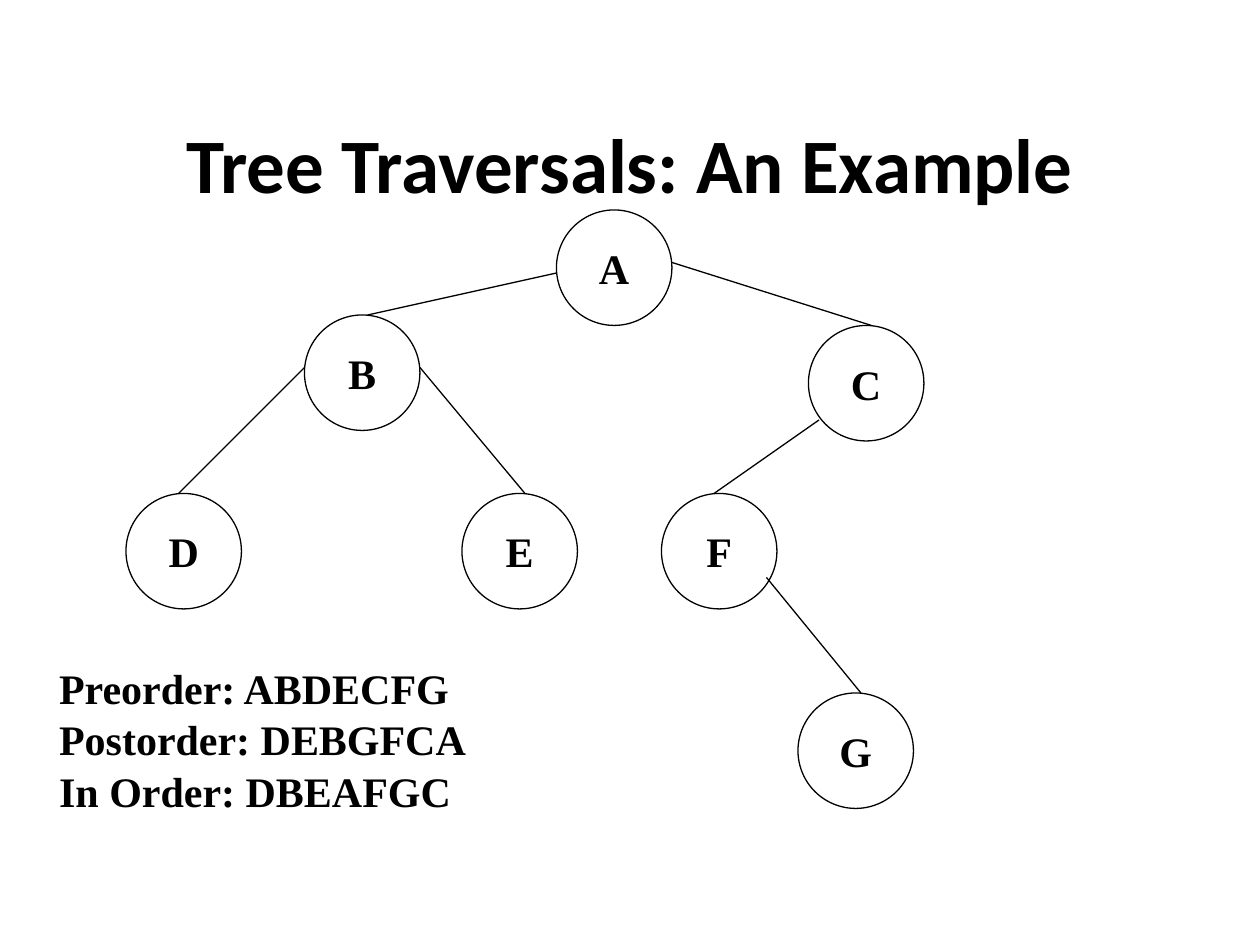
from pptx import Presentation
from pptx import util as u
from pptx.dml import color
from pptx.enum import shapes, text
from pptx.oxml import ns, xmlchemy

Pt = u.Pt
COLORS = {"ink": "000000", "paper": "FFFFFF"}
HEADING_FONT = "Calibri"
BODY_FONT = "Times New Roman"
NODE_SIZE = 66

NODES = {
    "A": (246, 0),
    "B": (102, 60),
    "C": (390, 66),
    "D": (0, 162),
    "E": (192, 162),
    "F": (306, 162),
    "G": (384, 276),
}
BRANCHES = [
    ((246, 36), (138, 60)),
    ((312, 30), (426, 66)),
    ((102, 90), (30, 162)),
    ((168, 90), (228, 162)),
    ((396, 120), (336, 162)),
    ((366, 210), (420, 276)),
]
ORDERS = ["Preorder: ABDECFG", "Postorder: DEBGFCA", "In Order: DBEAFGC"]


def rgb(name):
    return color.RGBColor.from_string(COLORS[name])


def write(paragraph, words, font, size, align):
    paragraph.alignment = align
    run = paragraph.add_run()
    run.text = words
    run.font.name = font
    run.font.size = Pt(size)
    run.font.bold = True
    run.font.color.rgb = rgb("ink")


def outline(item):
    item.line.color.rgb = rgb("ink")
    item.line.width = Pt(0.75)


def add_heading(slide, left, top, width, height):
    heading = slide.shapes.title
    heading.left, heading.top = Pt(left), Pt(top)
    heading.width, heading.height = Pt(width), Pt(height)
    frame = heading.text_frame
    frame.vertical_anchor = text.MSO_ANCHOR.MIDDLE
    write(frame.paragraphs[0], "Tree Traversals: An Example",
          HEADING_FONT, 44, text.PP_ALIGN.CENTER)


def add_node(slide, label, left, top):
    node = slide.shapes.add_shape(shapes.MSO_SHAPE.OVAL, Pt(left), Pt(top),
                                  Pt(NODE_SIZE), Pt(NODE_SIZE))
    node.shadow.inherit = False
    node.fill.background()
    outline(node)
    frame = node.text_frame
    frame.word_wrap = False
    frame.vertical_anchor = text.MSO_ANCHOR.MIDDLE
    write(frame.paragraphs[0], label, BODY_FONT, 24, text.PP_ALIGN.CENTER)


def add_branch(slide, start, end):
    branch = slide.shapes.add_connector(shapes.MSO_CONNECTOR.STRAIGHT,
                                        *map(Pt, start + end))
    outline(branch)
    branch._element.spPr.append(xmlchemy.OxmlElement("a:effectLst"))


def add_tree(slide, left, top):
    for label, (x, y) in NODES.items():
        add_node(slide, label, left + x, top + y)
    for (x1, y1), (x2, y2) in BRANCHES:
        add_branch(slide, (left + x1, top + y1), (left + x2, top + y2))


def add_orders(slide, left, top, width, height):
    orders = slide.shapes.add_textbox(Pt(left), Pt(top), Pt(width), Pt(height))
    frame = orders.text_frame
    frame.word_wrap = False
    frame.auto_size = text.MSO_AUTO_SIZE.SHAPE_TO_FIT_TEXT
    for index, order in enumerate(ORDERS):
        paragraph = frame.add_paragraph() if index else frame.paragraphs[0]
        paragraph.space_before = Pt(0.3 if index else 0)
        paragraph.space_after = Pt(0.3)
        write(paragraph, order, BODY_FONT, 24, text.PP_ALIGN.LEFT)


def main():
    deck = Presentation()
    deck.slide_width, deck.slide_height = Pt(720), Pt(540)
    slide = deck.slides.add_slide(deck.slide_layouts[5])
    slide.background.fill.solid()
    slide.background.fill.fore_color.rgb = rgb("paper")
    add_heading(slide, 54, 48, 612, 90)
    add_tree(slide, 72, 120)
    add_orders(slide, 26.7, 375, 247, 95)
    deck.save("out.pptx")


if __name__ == "__main__":
    main()
